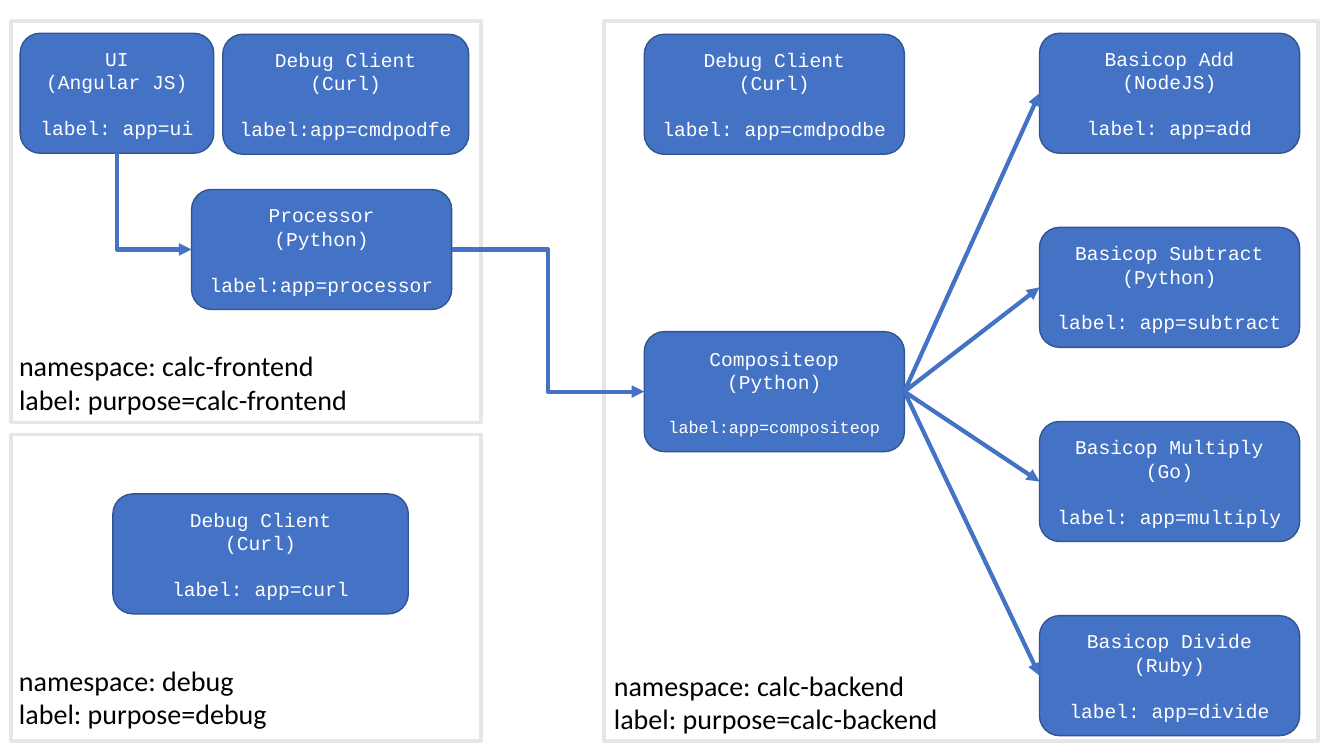
from dataclasses import dataclass

from lxml.etree import SubElement
from pptx import Presentation
from pptx.dml.color import RGBColor
from pptx.enum.shapes import MSO_CONNECTOR as Link, MSO_SHAPE as Preset
from pptx.enum.text import MSO_ANCHOR as Anchor, PP_ALIGN as Align
from pptx.oxml.ns import qn
from pptx.shapes.autoshape import Shape
from pptx.shapes.connector import Connector
from pptx.slide import Slide
from pptx.util import Inches, Pt

COLORS = {"pod": "4472C4", "edge": "325491", "frame": "E7E6E6", "light": "FFFFFF", "dark": "000000"}
POD_HEIGHT = 1.19
POD_WIDTH = 2.58
TOP, LEFT, BOTTOM, RIGHT = range(4)


@dataclass
class Namespace:
    name: str
    left: float
    top: float
    width: float
    height: float
    text_left: float
    text_top: float
    text_width: float


@dataclass
class Pod:
    title: str
    runtime: str
    label: str
    left: float
    top: float
    width: float = POD_WIDTH
    label_size: int = 14


NAMESPACES = [
    Namespace("calc-backend", 5.99, 0.21, 7.08, 7.14, 5.99, 6.58, 4.14),
    Namespace("calc-frontend", 0.11, 0.21, 4.66, 3.98, 0.09, 3.41, 4.22),
    Namespace("debug", 0.11, 4.31, 4.66, 3.04, 0.09, 6.53, 4.66),
]
UI = Pod("UI", "(Angular JS)", "label: app=ui", 0.2, 0.33, 1.92)
PROCESSOR = Pod("Processor", "(Python)", "label:app=processor", 1.9, 1.88)
COMPOSITEOP = Pod("Compositeop", "(Python)", "label:app=compositeop", 6.39, 3.29, label_size=12)
DEBUG_CLIENTS = [
    Pod("Debug Client", "(Curl)", label, left, top, width)
    for label, left, top, width in [
        ("label:app=cmdpodfe", 2.21, 0.34, 2.44),
        ("label: app=cmdpodbe", 6.39, 0.34, POD_WIDTH),
        ("label: app=curl", 1.12, 4.9, 2.93),
    ]
]
OPERATIONS = [("Add", "NodeJS"), ("Subtract", "Python"), ("Multiply", "Go"), ("Divide", "Ruby")]
BASICOPS = [
    Pod(f"Basicop {name}", f"({runtime})", f"label: app={name.lower()}", 10.31, 0.33 + row * 1.926)
    for row, (name, runtime) in enumerate(OPERATIONS)
]


def rgb(name: str) -> RGBColor:
    """Return the named colour."""
    return RGBColor.from_string(COLORS[name])


def write_lines(shape: Shape, lines: list[tuple[str, int]], font: str, color: str, align: Align) -> None:
    """Write each sized line as a paragraph with one run."""
    frame = shape.text_frame
    frame.word_wrap = True
    for index, (text, size) in enumerate(lines):
        paragraph = frame.add_paragraph() if index else frame.paragraphs[0]
        paragraph.alignment = align
        run = paragraph.add_run()
        run.text = text
        run.font.name = font
        run.font.size = Pt(size)
        run.font.color.rgb = rgb(color)


def draw_namespace(slide: Slide, space: Namespace) -> None:
    """Draw a namespace frame with its caption."""
    frame = slide.shapes.add_shape(
        Preset.RECTANGLE, Inches(space.left), Inches(space.top), Inches(space.width), Inches(space.height))
    frame.shadow.inherit = False
    frame.fill.background()
    frame.line.color.rgb = rgb("frame")
    frame.line.width = Pt(2.5)
    caption = slide.shapes.add_textbox(
        Inches(space.text_left), Inches(space.text_top), Inches(space.text_width), Inches(0.77))
    lines = [(f"namespace: {space.name}", 20), (f"label: purpose={space.name}", 20)]
    write_lines(caption, lines, "Calibri", "dark", Align.LEFT)


def draw_pod(slide: Slide, pod: Pod) -> Shape:
    """Draw a rounded pod with its title, runtime and label."""
    box = slide.shapes.add_shape(
        Preset.ROUNDED_RECTANGLE, Inches(pod.left), Inches(pod.top), Inches(pod.width), Inches(POD_HEIGHT))
    box.shadow.inherit = False
    box.fill.solid()
    box.fill.fore_color.rgb = rgb("pod")
    box.line.color.rgb = rgb("edge")
    box.line.width = Pt(1)
    box.text_frame.vertical_anchor = Anchor.MIDDLE
    lines = [(pod.title, 14), (pod.runtime, 14), (pod.label, pod.label_size)]
    write_lines(box, lines, "Courier New", "light", Align.CENTER)
    box.text_frame.paragraphs[-1].space_before = Pt(16)
    return box


def draw_arrow(slide: Slide, kind: Link, source: Shape, site: int, target: Shape) -> Connector:
    """Draw an arrow from a site of the source to the left of the target."""
    arrow = slide.shapes.add_connector(kind, 0, 0, 0, 0)
    arrow.begin_connect(source, site)
    arrow.end_connect(target, LEFT)
    arrow.line.color.rgb = rgb("pod")
    arrow.line.width = Pt(3)
    SubElement(arrow.line._get_or_add_ln(), qn("a:tailEnd"), type="triangle")
    SubElement(arrow._element.spPr, qn("a:effectLst"))
    return arrow


def bend_once(arrow: Connector) -> None:
    """Make an elbow arrow go down first and then right."""
    across, down = arrow.width, arrow.height
    arrow.left += (across - down) // 2
    arrow.top += (down - across) // 2
    arrow.width, arrow.height = down, across
    properties = arrow._element.spPr
    transform = properties.find(qn("a:xfrm"))
    transform.set("rot", "16200000")
    transform.set("flipH", "1")
    properties.find(qn("a:prstGeom")).set("prst", "bentConnector2")


def main() -> None:
    """Build the slide and save it."""
    deck = Presentation()
    deck.slide_width, deck.slide_height = Inches(13.33), Inches(7.5)
    slide = deck.slides.add_slide(deck.slide_layouts[6])
    for space in NAMESPACES:
        draw_namespace(slide, space)
    for client in DEBUG_CLIENTS:
        draw_pod(slide, client)
    ui, processor, compositeop = (draw_pod(slide, pod) for pod in (UI, PROCESSOR, COMPOSITEOP))
    bend_once(draw_arrow(slide, Link.ELBOW, ui, BOTTOM, processor))
    draw_arrow(slide, Link.ELBOW, processor, RIGHT, compositeop)
    for pod in BASICOPS:
        draw_arrow(slide, Link.STRAIGHT, compositeop, RIGHT, draw_pod(slide, pod))
    deck.save("out.pptx")


main()
